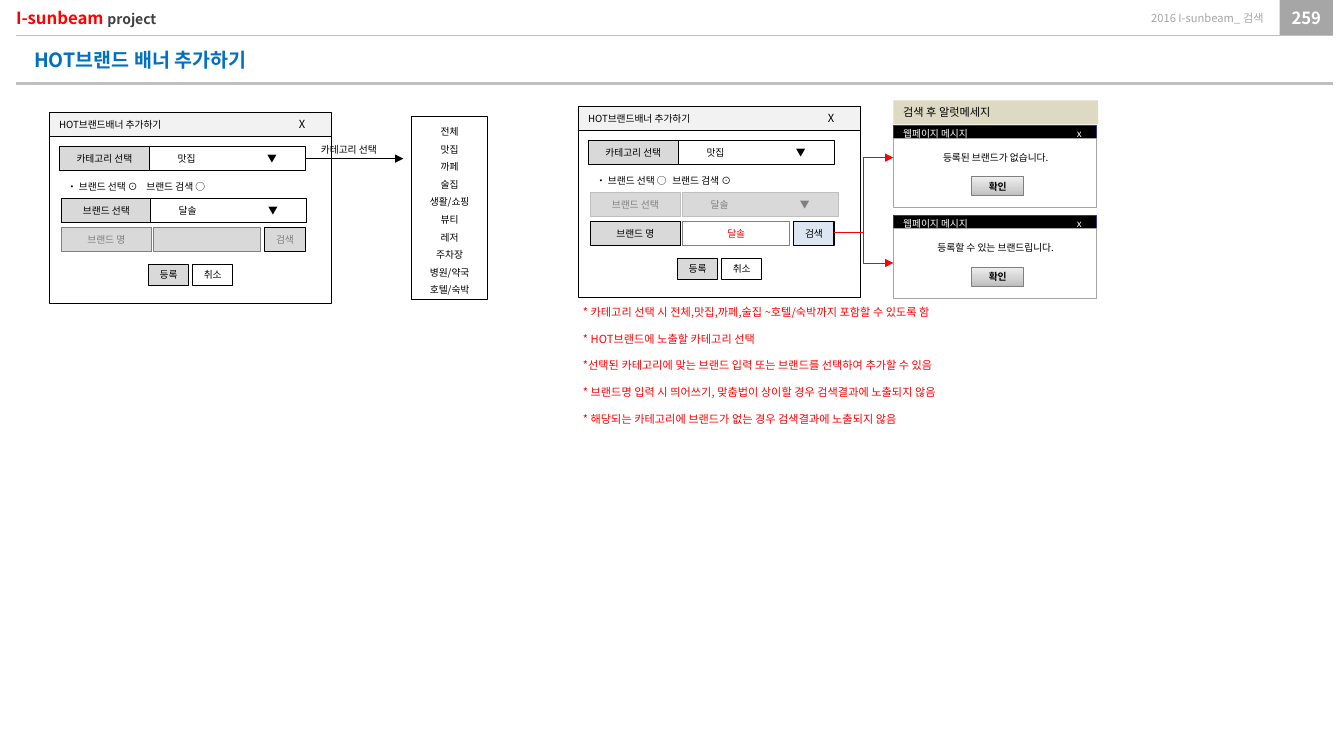
from copy import deepcopy

from lxml import etree
from pptx import Presentation
from pptx import util as u
from pptx.dml.color import RGBColor
from pptx.enum import shapes, text
from pptx.oxml.ns import qn

PX = 9144
FONT = "Noto Sans CJK KR"
BLACK, WHITE, GREY, SHADE, RED = "000000", "FFFFFF", "808080", "D9D9D9", "FF0000"
CENTER, RIGHT = text.PP_ALIGN.CENTER, text.PP_ALIGN.RIGHT
TOP, MIDDLE = text.MSO_ANCHOR.TOP, text.MSO_ANCHOR.MIDDLE
CATEGORIES = ["전체", "맛집", "까페", "술집", "생활/쇼핑", "뷰티", "레저", "주차장", "병원/약국", "호텔/숙박"]
NOTES = [
    "* 카테고리 선택 시 전체,맛집,까페,술집 ~호텔/숙박까지 포함할 수 있도록 함",
    "* HOT브랜드에 노출할 카테고리 선택",
    "*선택된 카테고리에 맞는 브랜드 입력 또는 브랜드를 선택하여 추가할 수 있음",
    "* 브랜드명 입력 시 띄어쓰기, 맞춤법이 상이할 경우 검색결과에 노출되지 않음",
    "* 해당되는 카테고리에 브랜드가 없는 경우 검색결과에 노출되지 않음",
]


def px(*lengths):
    return [u.Emu(length * PX) for length in lengths]


def color(value):
    return RGBColor.from_string(value)


def add_span(para, words, size, ink, bold):
    span = para.add_run()
    span.text = words
    span.font.size, span.font.bold, span.font.name = u.Pt(size), bold, FONT
    span.font.color.rgb = color(ink)
    etree.SubElement(span._r.get_or_add_rPr(), qn("a:ea"), typeface=FONT)


def write(shape, paras, size=7, ink=BLACK, bold=False, align=text.PP_ALIGN.LEFT,
          anchor=MIDDLE, insets=(10, 5, 10, 5), tab=None, spacing=None, before=0):
    frame = shape.text_frame
    frame.word_wrap, frame.auto_size = True, text.MSO_AUTO_SIZE.NONE
    frame.vertical_anchor = anchor
    (frame.margin_left, frame.margin_top,
     frame.margin_right, frame.margin_bottom) = px(*insets)
    for index, spans in enumerate([paras] if isinstance(paras, str) else paras):
        para = frame.paragraphs[0] if index == 0 else frame.add_paragraph()
        para.alignment = align
        if spacing:
            para.line_spacing = spacing
        if index and before:
            para.space_before = u.Pt(before)
        if tab:
            stops = etree.SubElement(para._p.get_or_add_pPr(), qn("a:tabLst"))
            etree.SubElement(stops, qn("a:tab"), pos=str(tab * PX), algn="l")
        if isinstance(spans, str):
            spans = [(spans, size, ink)]
        for words, span_size, span_ink in spans:
            add_span(para, words, span_size, span_ink, bold)
    return shape


def add_text(page, box, paras, **style):
    return write(page.shapes.add_textbox(*px(*box)), paras, **style)


def add_box(page, box, fill, line=None, words=None, **style):
    shape = page.shapes.add_shape(shapes.MSO_SHAPE.RECTANGLE, *px(*box))
    shape.shadow.inherit = False
    shape.fill.solid()
    shape.fill.fore_color.rgb = color(fill)
    if line:
        shape.line.color.rgb = color(line)
        shape.line.width = u.Pt(0.75)
    else:
        shape.line.fill.background()
    if words:
        write(shape, words, **style)
    return shape


def add_line(page, ends, ink, width=0.75, kind=shapes.MSO_CONNECTOR.STRAIGHT, arrow=False):
    line = page.shapes.add_connector(kind, *px(*ends))
    line.line.color.rgb = color(ink)
    line.line.width = u.Pt(width)
    if arrow:
        etree.SubElement(line.line._get_or_add_ln(), qn("a:tailEnd"), type="triangle")
    etree.SubElement(line._element.spPr, qn("a:effectLst"))


def add_header(page):
    none = (0, 0, 0, 0)
    add_box(page, (1275, 0, 53, 35), "A6A6A6", words="259", size=12, ink=WHITE,
            bold=True, align=CENTER, insets=none)
    add_line(page, (16, 83, 1328, 83), "BFBFBF", 2.25)
    add_line(page, (16, 35, 1328, 35), "BFBFBF", 0.25)
    add_text(page, (1032, 0, 227, 35), "2016 I-sunbeam_ 검색", size=8, ink="A6A6A6",
             align=RIGHT, insets=none)
    add_text(page, (16, 0, 205, 35), [[("I-sunbeam ", 12, RED), ("project", 10, "404040")]],
             bold=True, insets=none)
    title = page.shapes.title
    title.left, title.top, title.width, title.height = px(24, 43, 494, 34)
    write(title, "HOT브랜드 배너 추가하기", size=14, ink="0070C0", bold=True, anchor=TOP)


def add_selector(page, left, top, field, label, choice, line=BLACK, ink=BLACK):
    add_box(page, (left, top, 90, 24), SHADE, line, label, ink=ink, align=CENTER)
    add_box(page, (field, top, 155, 24), WHITE if ink == BLACK else SHADE, line,
            choice + "\t▼", ink=ink, insets=(28, 5, 10, 5), tab=89)


def add_dialog(page, left, top, searching):
    add_box(page, (left, top, 281, 24), "F2F2F2", BLACK,
            [[("HOT브랜드배너 추가하기\t", 7, BLACK), ("X", 8, BLACK)]], tab=239)
    add_box(page, (left, top + 24, 281, 166), WHITE, BLACK)
    add_selector(page, left + 10, top + 34, left + 100, "카테고리 선택", "맛집")
    for offset, fill, words in ((99, SHADE, "등록"), (143, WHITE, "취소")):
        add_box(page, (left + offset, top + 151, 40, 21), fill, BLACK, words, align=CENTER)
    marks = "○⊙" if searching else "⊙○"
    add_text(page, (left + 8, top + 63, 258, 22),
             f"• 브랜드 선택 {marks[0]}\t브랜드 검색 {marks[1]}", anchor=TOP,
             tab=76 if searching else 79)
    add_selector(page, left + 12, top + 86, left + (104 if searching else 101),
                 "브랜드 선택", "달솔", *(("BFBFBF", GREY) if searching else ()))
    ink = BLACK if searching else GREY
    row = top + 115
    add_box(page, (left + 12, row, 90, 24), SHADE, ink, "브랜드 명", ink=ink, align=CENTER)
    add_box(page, (left + 104, row, 107, 24), WHITE if searching else SHADE, GREY,
            "달솔" if searching else None, ink=RED, align=CENTER)
    add_box(page, (left + 215, row, 40, 24), "DCE6F2" if searching else SHADE, BLACK,
            "검색", ink=ink, align=CENTER)


def shade_button(button):
    button.fill.gradient()
    button.fill.gradient_angle = 90
    stops = button._element.spPr.find(qn("a:gradFill")).find(qn("a:gsLst"))
    stops.append(deepcopy(stops[-1]))
    for stop, position, ink in zip(button.fill.gradient_stops, (0, 0.35, 1),
                                   ("BDBDBD", "D1D1D1", "EEEEEE")):
        stop.position = position
        stop.color.rgb = color(ink)


def add_alert(page, left, top, message):
    add_box(page, (left, top, 202, 16), BLACK, "333399", "웹페이지 메시지\tx", ink=WHITE, tab=173)
    add_box(page, (left, top + 13, 202, 69), WHITE, "A6A6A6")
    add_text(page, (left, top + 21, 204, 22), message, align=CENTER, anchor=TOP)
    button = add_box(page, (left + 78, top + 51, 52, 19), SHADE, GREY, "확인", bold=True,
                     align=CENTER, insets=(4, 4, 4, 4))
    shade_button(button)


def add_category_list(page, left, top):
    add_line(page, (left - 106, top + 42, left - 8, top + 42), BLACK, arrow=True)
    add_text(page, (left - 100, top + 22, 103, 22), "카테고리 선택", anchor=TOP)
    add_box(page, (left, top, 76, 182), WHITE, BLACK, CATEGORIES, align=CENTER, spacing=1.5)


def add_alerts(page, left, top):
    add_box(page, (left, top, 204, 24), "DDD9C3", words="검색 후 알럿메세지", size=8, anchor=TOP)
    messages = ("등록된 브랜드가 없습니다.", "등록할 수 있는 브랜드립니다.")
    for index, message in enumerate(messages):
        add_alert(page, left, top + 25 + 90 * index, message)
    for target in (57, 162):
        add_line(page, (left - 59, top + 132, left, top + target), RED,
                 kind=shapes.MSO_CONNECTOR.ELBOW, arrow=True)


def main():
    deck = Presentation()
    deck.slide_width, deck.slide_height = px(1339, 748)
    page = deck.slides.add_slide(deck.slide_layouts[5])
    add_header(page)
    add_dialog(page, 49, 112, searching=False)
    add_category_list(page, 410, 116)
    add_dialog(page, 576, 106, searching=True)
    add_alerts(page, 890, 100)
    add_text(page, (571, 299, 520, 131), NOTES, size=8, ink=RED, anchor=TOP, before=9.6)
    deck.save("out.pptx")


if __name__ == "__main__":
    main()
